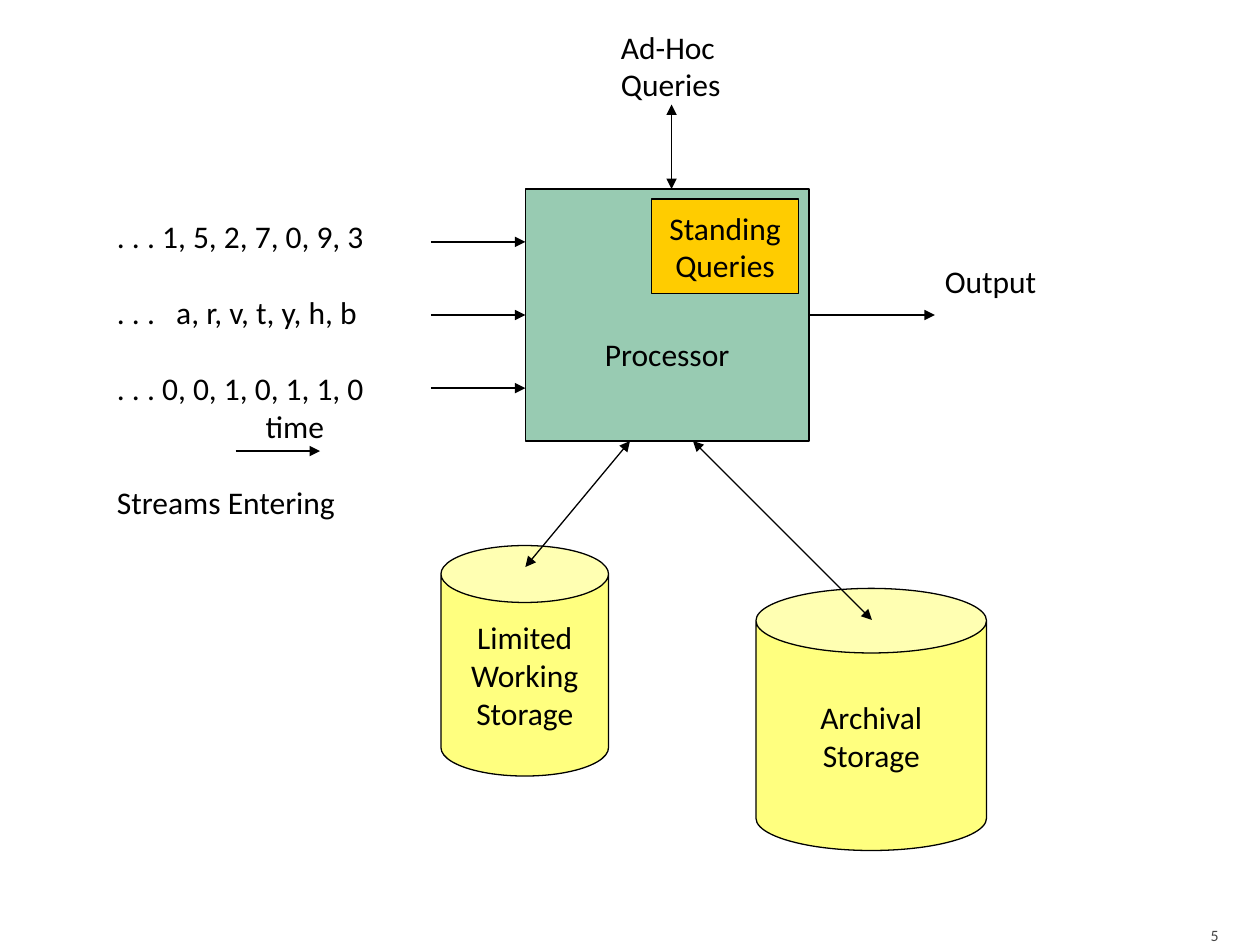
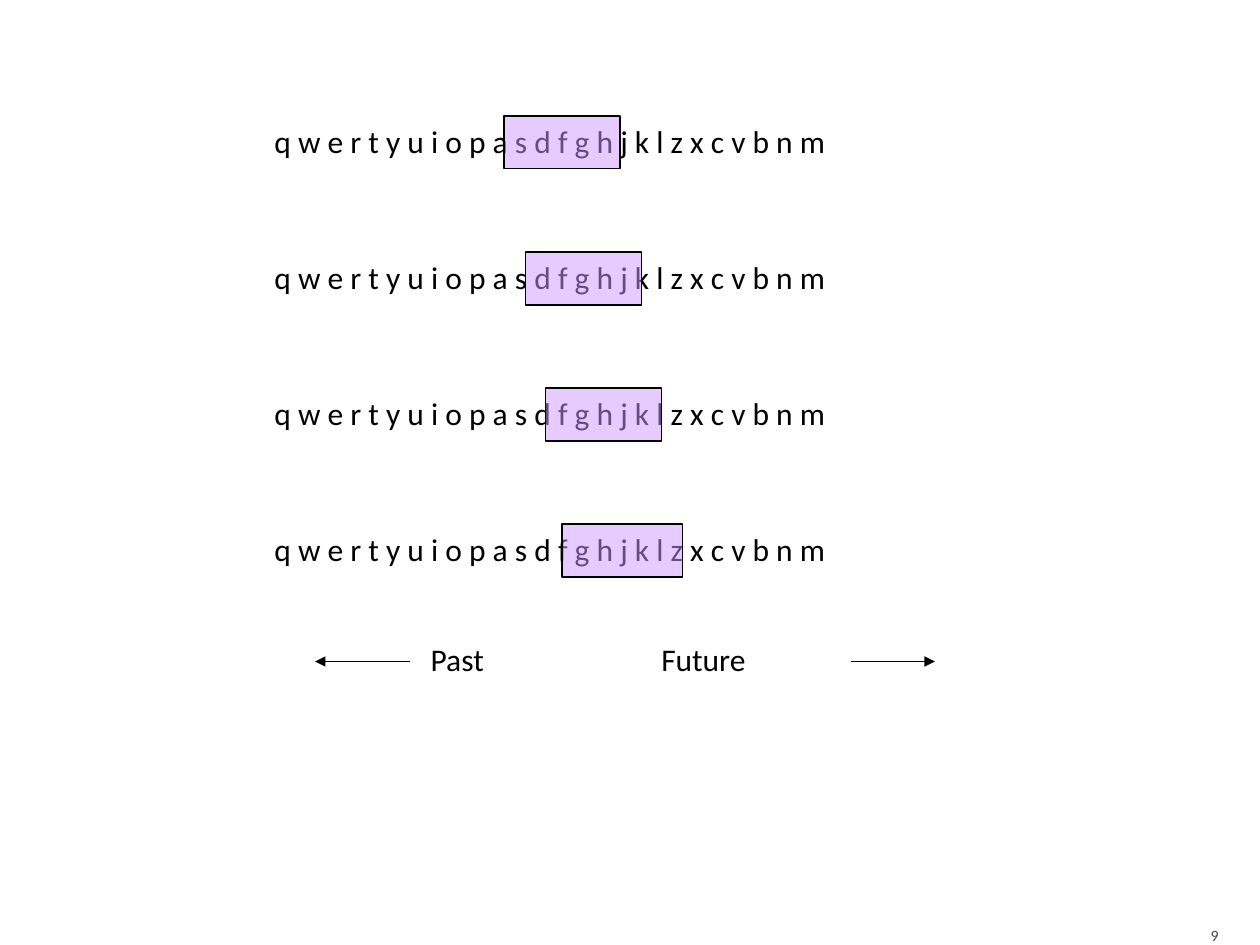
from lxml.etree import SubElement
from pptx import Presentation
from pptx.dml.color import RGBColor
from pptx.enum.shapes import MSO_CONNECTOR, MSO_SHAPE
from pptx.enum.text import MSO_ANCHOR, PP_ALIGN
from pptx.oxml.ns import qn
from pptx.util import Inches, Pt

BLACK = RGBColor(0x00, 0x00, 0x00)
GREY = RGBColor(0x45, 0x45, 0x45)
GREEN = RGBColor(0x33, 0x99, 0x66)
ORANGE = RGBColor(0xFF, 0xCC, 0x00)
YELLOW = RGBColor(0xFF, 0xFF, 0x00)
VIOLET = RGBColor(0xCC, 0x99, 0xFF)

BLANK_LAYOUT = 6
LINE_HEIGHT = Pt(22)


class Deck:
    """Holds the shared style and the slide being drawn."""

    font_name = "Calibri"
    text_size = Pt(18)
    number_size = Pt(9)
    line_width = Pt(0.75)

    def __init__(self):
        self.presentation = Presentation()
        self.presentation.slide_width = Inches(10)
        self.presentation.slide_height = Inches(7.5)
        self.slide = None

    def add_slide(self, number):
        layout = self.presentation.slide_layouts[BLANK_LAYOUT]
        self.slide = self.presentation.slides.add_slide(layout)
        footer = self.label(8.97, 7.2, 0.8, 0.3, [str(number)],
                            PP_ALIGN.RIGHT, self.number_size, GREY)
        footer.vertical_anchor = MSO_ANCHOR.BOTTOM
        footer.margin_bottom = 0

    def set_lines(self, frame, lines, align, size=text_size, color=BLACK):
        frame.word_wrap = True
        for index, line in enumerate(lines):
            paragraph = frame.paragraphs[0] if index == 0 else frame.add_paragraph()
            paragraph.text = line
            paragraph.alignment = align
            paragraph.font.name = self.font_name
            paragraph.font.size = size
            paragraph.font.color.rgb = color

    def label(self, left, top, width, height, lines,
              align=PP_ALIGN.LEFT, size=text_size, color=BLACK):
        box = self.slide.shapes.add_textbox(
            Inches(left), Inches(top), Inches(width), Inches(height))
        self.set_lines(box.text_frame, lines, align, size, color)
        return box.text_frame

    def block(self, kind, left, top, width, height, color, lines=(), opacity=50):
        shape = self.slide.shapes.add_shape(
            kind, Inches(left), Inches(top), Inches(width), Inches(height))
        shape.shadow.inherit = False
        shape.fill.solid()
        shape.fill.fore_color.rgb = color
        if opacity < 100:
            fill_color = shape._element.spPr.find(qn("a:solidFill"))[0]
            SubElement(fill_color, qn("a:alpha"), val=str(opacity * 1000))
        shape.line.color.rgb = BLACK
        shape.line.width = self.line_width
        shape.text_frame.vertical_anchor = MSO_ANCHOR.MIDDLE
        self.set_lines(shape.text_frame, lines, PP_ALIGN.CENTER)
        return shape

    def storage(self, left, top, width, height, lid, lines):
        can = self.block(MSO_SHAPE.CAN, left, top, width, height, YELLOW, lines)
        can.adjustments[0] = lid

    def arrow(self, start, end, both_ways=False):
        connector = self.slide.shapes.add_connector(
            MSO_CONNECTOR.STRAIGHT, *(Inches(value) for value in (*start, *end)))
        connector.line.color.rgb = BLACK
        connector.line.width = self.line_width
        line = connector._element.spPr.find(qn("a:ln"))
        if both_ways:
            SubElement(line, qn("a:headEnd"), type="triangle")
        SubElement(line, qn("a:tailEnd"), type="triangle")
        SubElement(connector._element.spPr, qn("a:effectLst"))


def add_tab_stop(paragraph, position):
    properties = paragraph._p.get_or_add_pPr()
    tab_list = properties.makeelement(qn("a:tabLst"))
    SubElement(tab_list, qn("a:tab"), pos=str(position), algn="l")
    properties.insert_element_before(tab_list, "a:defRPr", "a:extLst")


def draw_entering_streams(deck):
    for row in range(3):
        y = 1.92 + 0.58 * row
        deck.arrow((3.42, y), (4.17, y))
    streams = deck.label(0.83, 1.67, 2.58, 2.5, [
        ". . . 1, 5, 2, 7, 0, 9, 3",
        ". . .\ta, r, v, t, y, h, b",
        ". . . 0, 0, 1, 0, 1, 1, 0",
        "time",
        "Streams Entering",
    ])
    _, letters, bits, time, caption = streams.paragraphs
    for paragraph in (letters, bits, caption):
        paragraph.space_before = LINE_HEIGHT
    add_tab_stop(letters, Inches(0.47))
    time._p.get_or_add_pPr().set("marL", str(Inches(1.18)))
    deck.arrow((1.87, 3.58), (2.54, 3.58))


def draw_stream_system(deck):
    deck.add_slide(5)
    deck.storage(3.5, 4.33, 1.33, 1.83, 0.34, ["Limited", "Working", "Storage"])
    deck.arrow((5, 3.5), (4.17, 4.5), both_ways=True)
    draw_entering_streams(deck)
    deck.label(7.4, 2.03, 0.96, 0.4, ["Output"])
    deck.arrow((6.42, 2.5), (7.42, 2.5))
    deck.storage(6, 4.67, 1.83, 2.08, 0.28, ["Archival", "Storage"])
    deck.arrow((5.5, 3.5), (6.92, 4.92), both_ways=True)
    processor = deck.block(MSO_SHAPE.RECTANGLE, 4.17, 1.5, 2.25, 2, GREEN, ["Processor"])
    processor.text_frame.margin_top = Inches(0.66)
    deck.label(4.83, 0.17, 1.04, 0.7, ["Ad-Hoc", "Queries"])
    deck.arrow((5.33, 0.83), (5.33, 1.5), both_ways=True)
    deck.block(MSO_SHAPE.RECTANGLE, 5.17, 1.58, 1.17, 0.75, ORANGE,
               ["Standing", "Queries"], opacity=100)


def draw_sliding_window(deck):
    deck.add_slide(9)
    stream = " ".join("qwertyuiopasdfghjklzxcvbnm")
    windows = [(4, 0.92), (4.17, 0.92), (4.33, 0.92), (4.46, 0.96)]
    for row, (left, width) in enumerate(windows):
        top = 0.92 + 1.08 * row
        deck.label(2.08, top, 5.34, 0.4, [stream])
        deck.block(MSO_SHAPE.RECTANGLE, left, top, width, 0.42, VIOLET)
    deck.label(3.32, 5.03, 0.8, 0.4, ["Past"])
    deck.label(5.15, 5.03, 1.1, 0.4, ["Future"])
    deck.arrow((3.25, 5.25), (2.5, 5.25))
    deck.arrow((6.75, 5.25), (7.42, 5.25))


def main():
    deck = Deck()
    draw_stream_system(deck)
    draw_sliding_window(deck)
    deck.presentation.save("out.pptx")


if __name__ == "__main__":
    main()
